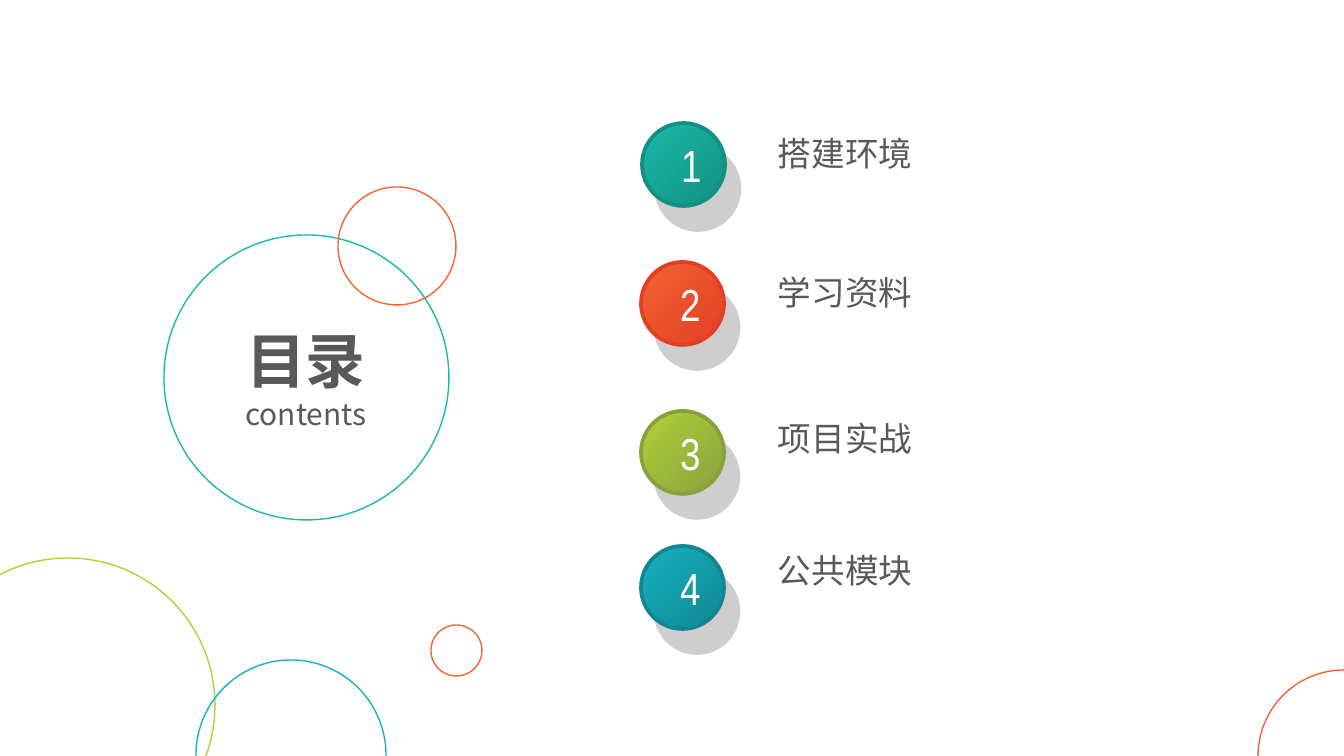
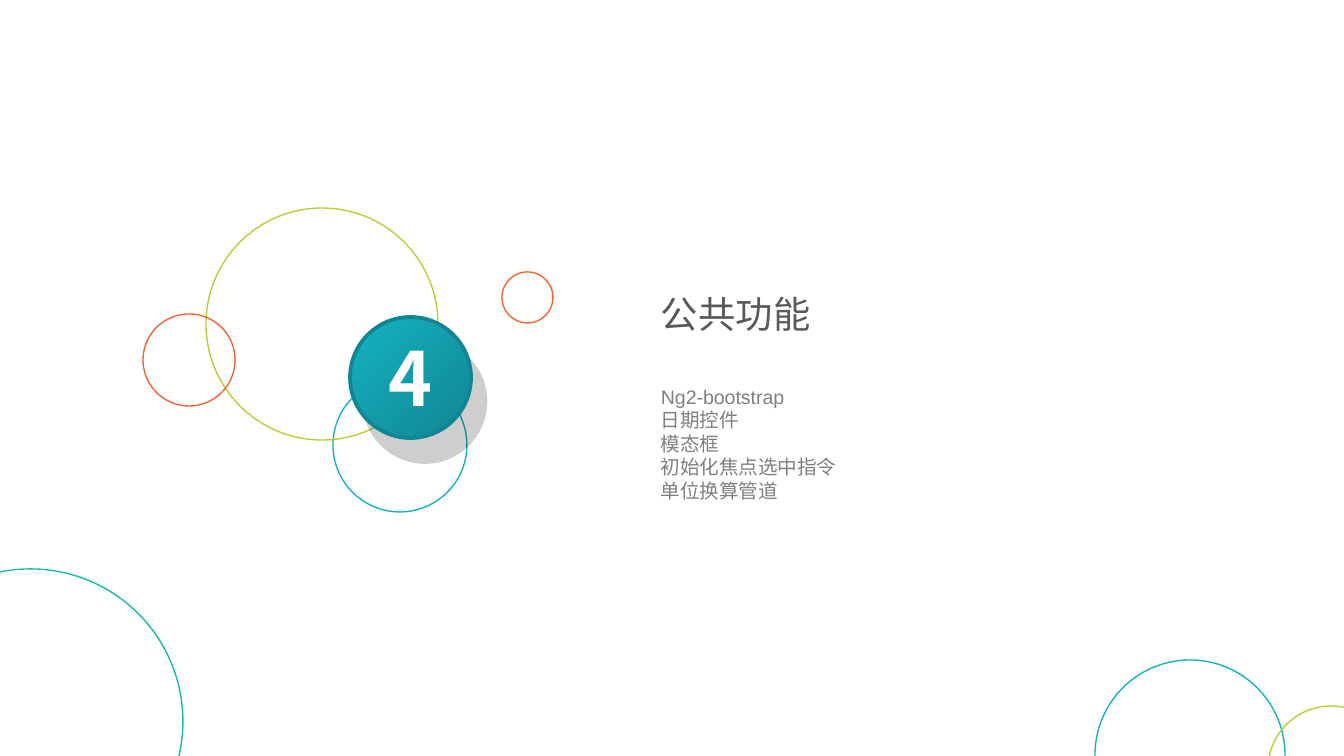
"""Builds a contents slide and a section slide decorated with circles."""
import pptx
import pptx.util
import pptx.dml.color
import pptx.enum.shapes
import pptx.enum.text
import pptx.oxml
import pptx.oxml.ns

RGBColor = pptx.dml.color.RGBColor
Pt = pptx.util.Pt
CENTER = pptx.enum.text.PP_ALIGN.CENTER
LEFT = pptx.enum.text.PP_ALIGN.LEFT

TEAL, TEAL_DARK = RGBColor(0x19, 0xBA, 0xA9), RGBColor(0x13, 0x8F, 0x81)
ORANGE, ORANGE_DARK = RGBColor(0xF2, 0x64, 0x34), RGBColor(0xE3, 0x3F, 0x24)
LIME, LIME_DARK = RGBColor(0xB2, 0xD1, 0x38), RGBColor(0x89, 0xA1, 0x3D)
CYAN, CYAN_DARK = RGBColor(0x16, 0xB2, 0xC1), RGBColor(0x10, 0x86, 0x92)
DARK = RGBColor(0x59, 0x59, 0x59)
GRAY = RGBColor(0x80, 0x80, 0x80)
WHITE = RGBColor(0xFF, 0xFF, 0xFF)
SHADOW = RGBColor(0x0D, 0x0D, 0x0D)

CJK, SANS, NARROW = "Noto Sans CJK SC", "Arial", "Arial Narrow"
PX_PER_INCH = 134.4


def px(n):
    """Turns pixels into EMU."""
    return pptx.util.Emu(round(n * 914400 / PX_PER_INCH))


def add_circle(s, x, y, d, color, width):
    """Adds a circle with a coloured outline."""
    sp = s.shapes.add_shape(pptx.enum.shapes.MSO_SHAPE.OVAL, px(x), px(y), px(d), px(d))
    sp.shadow.inherit = False
    sp.line.color.rgb = color
    sp.line.width = Pt(width)
    return sp


def add_ring(s, x, y, d, color):
    """Adds a thin unfilled circle."""
    add_circle(s, x, y, d, color, 0.74).fill.background()


def add_badge(s, x, y, d, light, dark):
    """Adds a gradient disc with a hard offset shadow."""
    sp = add_circle(s, x, y, d, dark, 2)
    sp.fill.gradient()
    sp.fill.gradient_angle = 315
    for stop, color in zip(sp.fill.gradient_stops, (light, dark)):
        stop.color.rgb = color
    effects = sp._element.spPr.find(pptx.oxml.ns.qn("a:effectLst"))
    effects.append(pptx.oxml.parse_xml(
        f'<a:outerShdw {pptx.oxml.ns.nsdecls("a")} blurRad="0" dist="{Pt(15)}" '
        f'dir="{59 * 60000}" algn="ctr" rotWithShape="0">'
        f'<a:srgbClr val="{SHADOW}"><a:alpha val="20000"/></a:srgbClr></a:outerShdw>'))


def add_text(s, box, lines, font, color, align=LEFT):
    """Adds a text box with one paragraph per (text, size, bold) line."""
    tf = s.shapes.add_textbox(*map(px, box)).text_frame
    tf.word_wrap = True
    if align == LEFT:
        tf.margin_left = 0
    for i, (text, size, bold) in enumerate(lines):
        p = tf.add_paragraph() if i else tf.paragraphs[0]
        p.alignment = align
        r = p.add_run()
        r.text = text
        r.font.name = font
        r.font.size = Pt(size)
        r.font.bold = bold
        r.font.color.rgb = color
        ea = r._r.get_or_add_rPr().makeelement(pptx.oxml.ns.qn("a:ea"), {"typeface": font})
        r._r.rPr.find(pptx.oxml.ns.qn("a:latin")).addnext(ea)


def build_contents(s):
    """Draws the contents slide."""
    for ring in ((164, 235, 285, TEAL), (-79, 558, 294, LIME), (338, 187, 118, ORANGE),
                 (196, 660, 190, CYAN), (431, 625, 51, ORANGE), (1258, 670, 172, ORANGE)):
        add_ring(s, *ring)
    add_text(s, (220, 317, 172, 121), [("目录", 32, True), ("contents", 16, False)],
             CJK, DARK, CENTER)
    items = (("搭建环境", 642, 123, 126, TEAL, TEAL_DARK),
             ("学习资料", 641, 262, 265, ORANGE, ORANGE_DARK),
             ("项目实战", 641, 411, 411, LIME, LIME_DARK),
             ("公共模块", 641, 546, 543, CYAN, CYAN_DARK))
    for n, (label, x, y, label_y, light, dark) in enumerate(items, 1):
        add_badge(s, x, y, 83, light, dark)
        add_text(s, (x + 26, y + 8, 31, 67), [(str(n), 24, False)], NARROW, WHITE, CENTER)
        add_text(s, (778, label_y, 360, 85), [(label, 18, False)], CJK, DARK)


def build_section(s):
    """Draws the section slide."""
    for ring in ((333, 378, 134, CYAN), (206, 208, 232, LIME), (-122, 569, 305, TEAL),
                 (143, 314, 92, ORANGE), (1095, 660, 190, CYAN), (502, 272, 51, ORANGE),
                 (1268, 706, 126, LIME)):
        add_ring(s, *ring)
    add_badge(s, 350, 317, 121, CYAN, CYAN_DARK)
    add_text(s, (344, 325, 134, 102), [("4", 40, True)], CJK, WHITE, CENTER)
    add_text(s, (661, 285, 317, 129), [("公共功能", 20, False)], CJK, DARK)
    topics = ("Ng2-bootstrap", "日期控件", "模态框", "初始化焦点选中指令", "单位换算管道")
    add_text(s, (661, 378, 530, 83), [(t, 10.5, False) for t in topics], SANS, GRAY)


def main():
    """Builds and saves the presentation."""
    prs = pptx.Presentation()
    prs.slide_width, prs.slide_height = px(1344), px(756)
    for build in (build_contents, build_section):
        build(prs.slides.add_slide(prs.slide_layouts[6]))
    prs.save("out.pptx")


main()
